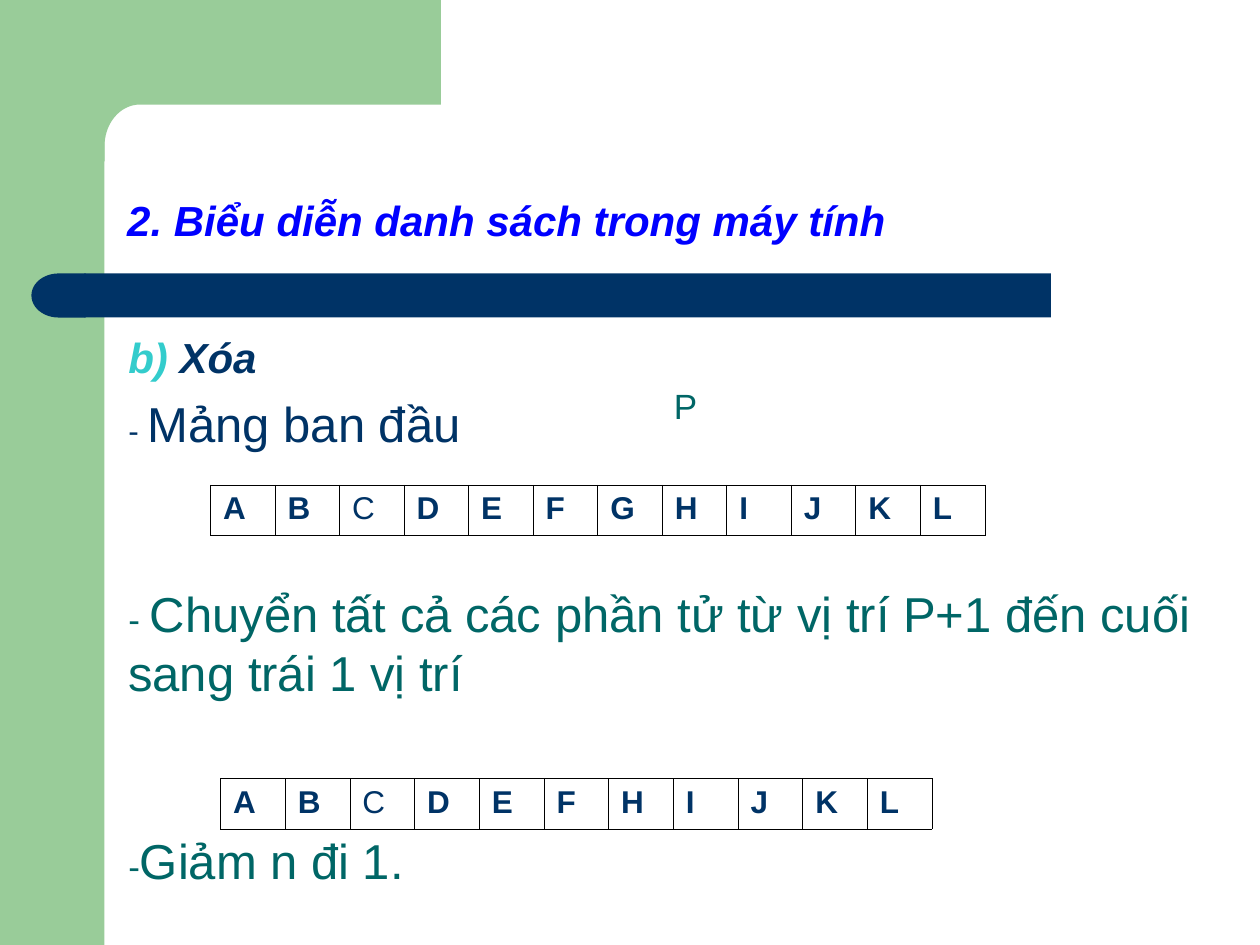
import math

from lxml import etree
from pptx import Presentation
from pptx import util as u
from pptx.dml.color import RGBColor
from pptx.enum import shapes, text
from pptx.oxml import ns

Inches = u.Inches
THEME = {
    "font": "Arial",
    "green": RGBColor(0x99, 0xCC, 0x99),
    "navy": RGBColor(0x00, 0x33, 0x66),
    "blue": RGBColor(0x00, 0x00, 0xFF),
    "cyan": RGBColor(0x33, 0xCC, 0xCC),
    "teal": RGBColor(0x00, 0x66, 0x66),
    "black": "000000",
    "heading": u.Pt(24),
    "large": u.Pt(28),
    "label": u.Pt(20),
    "small": u.Pt(18),
    "border": u.Pt(0.45),
}


def write(para, spans):
    for words, size, color, bold, italic in spans:
        span = para.add_run()
        span.text = words
        formats = {"name": THEME["font"], "size": THEME[size], "bold": bold, "italic": italic}
        for name, value in formats.items():
            setattr(span.font, name, value)
        span.font.color.rgb = THEME[color]


def paint(box, color):
    box.shadow.inherit = False
    box.fill.solid()
    box.fill.fore_color.rgb = THEME[color]
    box.line.fill.background()


deck = Presentation()
deck.slide_width, deck.slide_height = Inches(10), Inches(7.5)
page = deck.slides.add_slide(deck.slide_layouts[5])

kinds = shapes.MSO_SHAPE
decorations = [
    (kinds.RECTANGLE, 0, 0, 0.83, 7.5, "green"),
    (kinds.RECTANGLE, 0.67, 2.17, 7.67, 0.35, "navy"),
    (kinds.FLOWCHART_DELAY, 0.25, 2.17, 0.43, 0.35, "navy"),
]
for kind, left, top, width, height, color in decorations:
    box = page.shapes.add_shape(kind, Inches(left), Inches(top), Inches(width), Inches(height))
    paint(box, color)
    if kind == kinds.FLOWCHART_DELAY:
        box.element.spPr.get_or_add_xfrm().set("flipH", "1")

arc = [
    (1.11 - 0.28 * math.sin(math.radians(angle)), 1.16 - 0.33 * math.cos(math.radians(angle)))
    for angle in range(0, 91, 5)
]
outline = [(3.5, 0), (3.5, 0.83), *arc, (0.83, 1.28), (0.5, 1.28)]
builder = page.shapes.build_freeform(Inches(0.5), 0)
builder.add_line_segments([(Inches(x), Inches(y)) for x, y in outline], close=True)
paint(builder.convert_to_shape(), "green")

title = page.shapes.title
for name, value in {"left": 0.91, "top": 0.91, "width": 8.51, "height": 1.09}.items():
    setattr(title, name, Inches(value))
title.text_frame.vertical_anchor = text.MSO_ANCHOR.BOTTOM
title.text_frame.auto_size = text.MSO_AUTO_SIZE.NONE
heading = title.text_frame.paragraphs[0]
heading.alignment = text.PP_ALIGN.LEFT
heading.line_spacing = 0.9
write(heading, [("2. Biểu diễn danh sách trong máy tính", "heading", "blue", True, True)])

text_boxes = [
    (0.92, 2.58, 8.41, 1.51, [
        [("b) ", "heading", "cyan", True, True), ("Xóa", "heading", "navy", True, True)],
        [("- ", "small", "navy", False, False), ("Mảng ban đầu", "large", "navy", False, False)],
    ]),
    (5.25, 3, 0.75, 0.44, [[("P", "label", "teal", False, False)]]),
    (0.92, 4.58, 8.75, 1.04, [[
        ("- ", "label", "teal", False, False),
        ("Chuyển tất cả các phần tử từ vị trí P+1 đến cuối sang trái 1 vị trí",
         "large", "teal", False, False),
    ]]),
    (0.92, 6.54, 8.75, 0.6, [[
        ("-", "label", "teal", False, False),
        ("Giảm n đi 1.", "large", "teal", False, False),
    ]]),
]
for left, top, width, height, paragraphs in text_boxes:
    box = page.shapes.add_textbox(Inches(left), Inches(top), Inches(width), Inches(height))
    frame = box.text_frame
    frame.word_wrap = True
    for index, spans in enumerate(paragraphs):
        para = frame.add_paragraph() if index else frame.paragraphs[0]
        if index:
            para.space_before = u.Pt(7)
        write(para, spans)

arrays = [("ABCDEFGHIJKL", 1.67, 3.85, 6.15), ("ABCDEFHIJKL", 1.75, 6.18, 5.65)]
for letters, left, top, width in arrays:
    grid = page.shapes.add_table(
        1, len(letters), Inches(left), Inches(top), Inches(width), Inches(0.4)
    ).table
    grid.first_row = grid.horz_banding = False
    for column, letter in enumerate(letters):
        grid.columns[column].width = Inches(width) // len(letters)
        cell = grid.cell(0, column)
        para = cell.text_frame.paragraphs[0]
        para.alignment = text.PP_ALIGN.JUSTIFY
        write(para, [(letter, "small", "navy", letter != "C", False)])
        properties = cell._tc.get_or_add_tcPr()
        for side in ("lnL", "lnR", "lnT", "lnB"):
            line = etree.SubElement(properties, ns.qn(f"a:{side}"), w=str(THEME["border"]))
            fill = etree.SubElement(line, ns.qn("a:solidFill"))
            etree.SubElement(fill, ns.qn("a:srgbClr"), val=THEME["black"])
        cell.fill.background()

deck.save("out.pptx")
